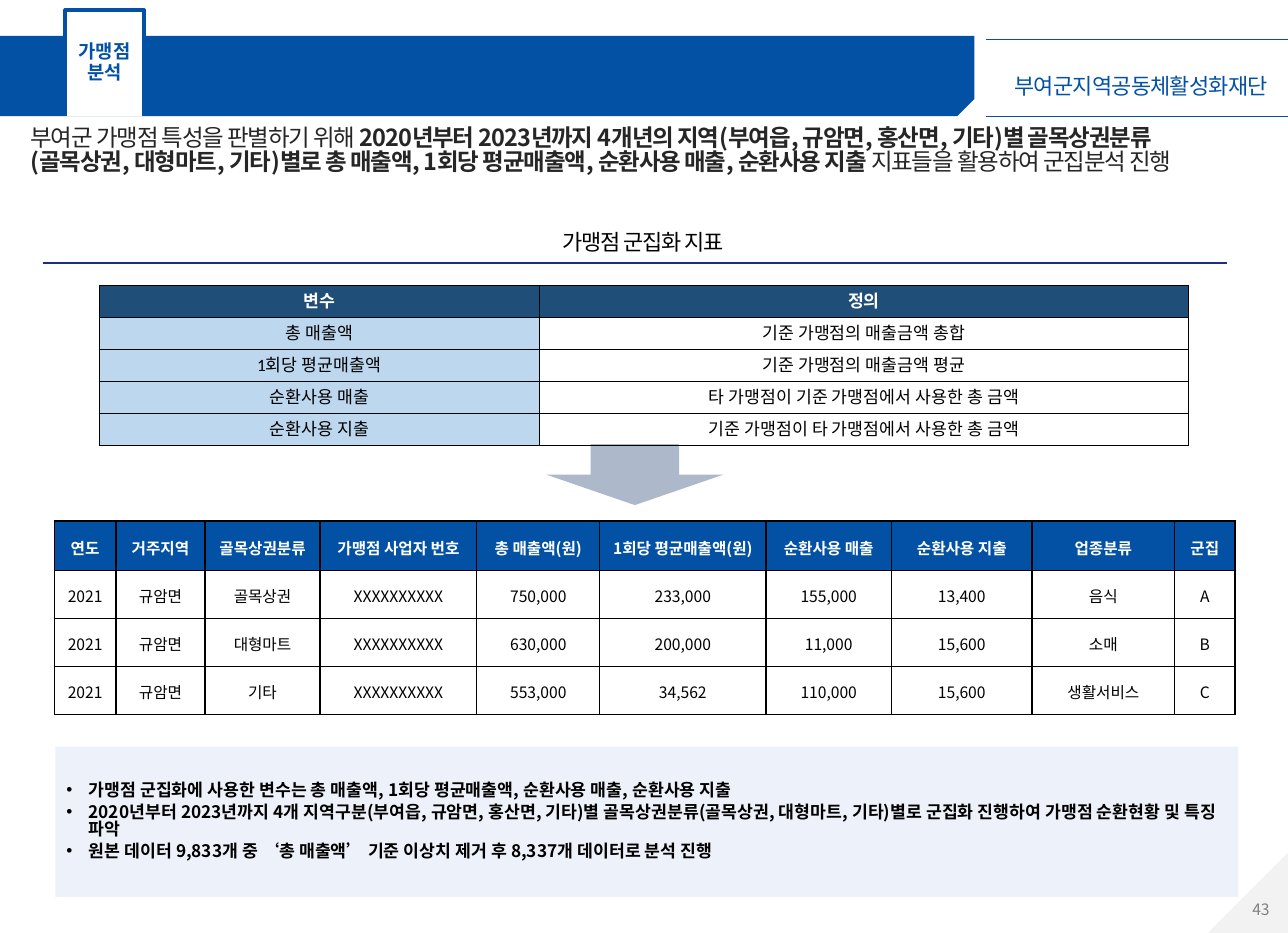
from lxml import etree
from pptx import Presentation
from pptx.dml.color import RGBColor
from pptx.enum import shapes, text
from pptx.oxml import ns
from pptx.util import Pt

BLUE = "0351A5"
SANS = "Noto Sans CJK KR"
WIDTH, HEIGHT = 822.24, 595.44
MIDDLE = text.MSO_ANCHOR.MIDDLE
ALIGN = text.PP_ALIGN
PRESET = shapes.MSO_SHAPE


def color(value):
    return RGBColor.from_string(value)


def child(parent, tag, **attributes):
    return etree.SubElement(parent, ns.qn(tag), attributes)


def write(frame, paragraphs, size=11, ink="000000", bold=False, font=SANS, align=ALIGN.LEFT,
          anchor=MIDDLE, margins=(7.2, 3.6), wrap=True, line=None, gap=0, spacing=0, bullet=0):
    """Fill a frame; a paragraph is a string or a list of (string, bold) runs."""
    frame.word_wrap = wrap
    frame.vertical_anchor = anchor
    frame.margin_left = frame.margin_right = Pt(margins[0])
    frame.margin_top = frame.margin_bottom = Pt(margins[1])
    for index, runs in enumerate(paragraphs):
        paragraph = frame.add_paragraph() if index else frame.paragraphs[0]
        if bullet:
            properties = paragraph._p.get_or_add_pPr()
            properties.set("marL", str(Pt(bullet)))
            properties.set("indent", str(-Pt(bullet)))
            child(properties, "a:buFont", typeface="Arial")
            child(properties, "a:buChar", char="•")
        paragraph.alignment = align
        if line:
            paragraph.line_spacing = line
        if index and gap:
            paragraph.space_before = Pt(gap)
        for words, weight in [(runs, bold)] if isinstance(runs, str) else runs:
            run = paragraph.add_run()
            run.text = words
            run.font.size, run.font.bold, run.font.name = Pt(size), weight, font
            run.font.color.rgb = color(ink)
            properties = run._r.get_or_add_rPr()
            child(properties, "a:ea", typeface=font)
            if spacing:
                properties.set("spc", str(round(spacing * 100)))


def add_text(slide, box, paragraphs, **style):
    write(slide.shapes.add_textbox(*map(Pt, box)).text_frame, paragraphs, **style)


def add_block(slide, preset, box, fill, outline=None, weight=1, flip=None):
    block = slide.shapes.add_shape(preset, *map(Pt, box))
    block.shadow.inherit = False
    block.fill.solid()
    block.fill.fore_color.rgb = color(fill)
    if outline:
        block.line.color.rgb = color(outline)
        block.line.width = Pt(weight)
    else:
        block.line.fill.background()
    if flip:
        block._element.spPr.find(ns.qn("a:xfrm")).set(flip, "1")
    return block


def add_rule(slide, left, right, y, ink, weight):
    rule = slide.shapes.add_connector(shapes.MSO_CONNECTOR.STRAIGHT, Pt(left), Pt(y), Pt(right), Pt(y))
    rule.line.color.rgb = color(ink)
    rule.line.width = Pt(weight)
    child(rule._element.spPr, "a:effectLst")


def add_grid(slide, left, top, widths, heights, rows, cell_style):
    """Place a black-ruled table; cell_style(row, column) gives fill and text format."""
    table = slide.shapes.add_table(len(rows), len(widths), Pt(left), Pt(top),
                                   Pt(sum(widths)), Pt(sum(heights))).table
    table.first_row = table.horz_banding = False
    for column, width in zip(table.columns, widths):
        column.width = Pt(width)
    for r, (values, height) in enumerate(zip(rows, heights)):
        table.rows[r].height = Pt(height)
        for c, value in enumerate(values):
            cell = table.cell(r, c)
            fill, vertical, style = cell_style(r, c)
            write(cell.text_frame, [value], align=ALIGN.CENTER, **style)
            cell.vertical_anchor = MIDDLE
            cell.margin_left = cell.margin_right = Pt(7.2)
            cell.margin_top, cell.margin_bottom = map(Pt, vertical)
            properties = cell._tc.get_or_add_tcPr()
            for side in "LRTB":
                border = child(properties, f"a:ln{side}", w=str(Pt(1)))
                child(child(border, "a:solidFill"), "a:srgbClr", val="000000")
            if fill:
                cell.fill.solid()
                cell.fill.fore_color.rgb = color(fill)
            else:
                cell.fill.background()


def add_header(slide, top, height):
    banner = add_block(slide, PRESET.SNIP_1_RECTANGLE, (0, top, 622, height), BLUE, flip="flipV")
    banner.adjustments[0] = 0.214
    tab_left, tab_width, tab_height = 41.6, 50.4, 67.7
    tab_top = top + height - tab_height
    shift = (tab_height - tab_width) / 2
    tab = add_block(slide, PRESET.LEFT_BRACKET,
                    (tab_left - shift, tab_top + shift, tab_height, tab_width), "FFFFFF", BLUE, 2.25)
    tab.rotation = 90
    tab.adjustments[0] = 0
    add_text(slide, (tab_left, tab_top, tab_width, tab_height), ["가맹점", "분석"], size=12, ink=BLUE,
             bold=True, align=ALIGN.CENTER, margins=(0, 0), line=0.9)
    rule_left = 629.3
    for y in (top + 2, top + height):
        add_rule(slide, rule_left, WIDTH, y, BLUE, 0.5)
    add_text(slide, (rule_left, top + 20, 183, 24), ["부여군지역공동체활성화재단"], size=14, ink=BLUE,
             align=ALIGN.RIGHT, margins=(2.9, 2.9), wrap=False, spacing=-0.5)


def add_introduction(slide, left, top, width):
    add_text(slide, (left, top, width, 62), [[
        ("부여군 가맹점 특성을 판별하기 위해 ", False),
        ("2020년부터 2023년까지 4개년의 지역(부여읍, 규암면, 홍산면, 기타)별 "
         "골목상권분류(골목상권, 대형마트, 기타)별로 총 매출액, 1회당 평균매출액, "
         "순환사용 매출, 순환사용 지출 ", True),
        ("지표들을 활용하여 군집분석 진행", False),
    ]], size=15, ink="262626", anchor=text.MSO_ANCHOR.TOP, margins=(7.9, 3.6), line=0.84, spacing=-0.7)


def add_indicators(slide, left, top, width):
    add_text(slide, (141, top, 539.3, 24.5), ["가맹점 군집화 지표"], size=14,
             align=ALIGN.CENTER, spacing=-0.7)
    add_rule(slide, left, left + width, top + 25.9, "1D2E81", 1.5)
    rows = [
        ("변수", "정의"),
        ("총 매출액", "기준 가맹점의 매출금액 총합"),
        ("1회당 평균매출액", "기준 가맹점의 매출금액 평균"),
        ("순환사용 매출", "타 가맹점이 기준 가맹점에서 사용한 총 금액"),
        ("순환사용 지출", "기준 가맹점이 타 가맹점에서 사용한 총 금액"),
    ]

    def style(r, c):
        fill = "1F4E79" if r == 0 else "BDD7EE" if c == 0 else None
        return fill, (3.6, 3.4), dict(font="Calibri", bold=r == 0, ink="000000" if r else "FFFFFF")

    add_grid(slide, 63.4, top + 40.4, (280.8, 414.7), [20.45] * len(rows), rows, style)


def add_clusters(slide, left, top):
    rows = [
        ("연도", "거주지역", "골목상권분류", "가맹점 사업자 번호", "총 매출액(원)", "1회당 평균매출액(원)",
         "순환사용 매출", "순환사용 지출", "업종분류", "군집"),
        ("2021", "규암면", "골목상권", "XXXXXXXXXX", "750,000", "233,000", "155,000", "13,400", "음식", "A"),
        ("2021", "규암면", "대형마트", "XXXXXXXXXX", "630,000", "200,000", "11,000", "15,600", "소매", "B"),
        ("2021", "규암면", "기타", "XXXXXXXXXX", "553,000", "34,562", "110,000", "15,600", "생활서비스", "C"),
    ]
    widths = (39.4, 56.9, 73.4, 100.1, 78.5, 106.1, 80.2, 89.7, 91.1, 38.6)

    def style(r, c):
        return (None if r else BLUE), (2, 0), dict(size=10, bold=r == 0, ink="000000" if r else "FFFFFF")

    add_grid(slide, left, top, widths, (31.4, 30.7, 30.7, 30.7), rows, style)


def add_findings(slide, box):
    panel = add_block(slide, PRESET.RECTANGLE, box, "EDF1F9")
    write(panel.text_frame, [
        "가맹점 군집화에 사용한 변수는 총 매출액, 1회당 평균매출액, 순환사용 매출, 순환사용 지출",
        "2020년부터 2023년까지 4개 지역구분(부여읍, 규암면, 홍산면, 기타)별 골목상권분류"
        "(골목상권, 대형마트, 기타)별로 군집화 진행하여 가맹점 순환현황 및 특징 파악",
        "원본 데이터 9,833개 중 ‘총 매출액’ 기준 이상치 제거 후 8,337개 데이터로 분석 진행",
    ], bold=True, line=0.84, gap=3, bullet=14.2)


def add_page_corner(slide, side):
    left, top = WIDTH - side, HEIGHT - side
    add_block(slide, PRESET.RIGHT_TRIANGLE, (left, top, side, side), "F2F2F2", flip="flipH")
    add_text(slide, (left + 17.3, top + 25.2, 33.1, 21.6), ["43"], size=10, ink="808080", align=ALIGN.CENTER)


def main():
    deck = Presentation()
    deck.slide_width, deck.slide_height = Pt(WIDTH), Pt(HEIGHT)
    slide = deck.slides.add_slide(deck.slide_layouts[6])
    add_header(slide, 23, 51.1)
    add_page_corner(slide, 51.1)
    add_introduction(slide, 11.5, 77.8, 771.8)
    add_block(slide, PRESET.DOWN_ARROW, (348.8, 283.5, 113, 38.9), "ADB9CA")
    add_indicators(slide, 27.4, 141.8, 756)
    add_clusters(slide, 34.6, 332.6)
    add_findings(slide, (35.3, 476.6, 755.3, 95.8))
    deck.save("out.pptx")


if __name__ == "__main__":
    main()
